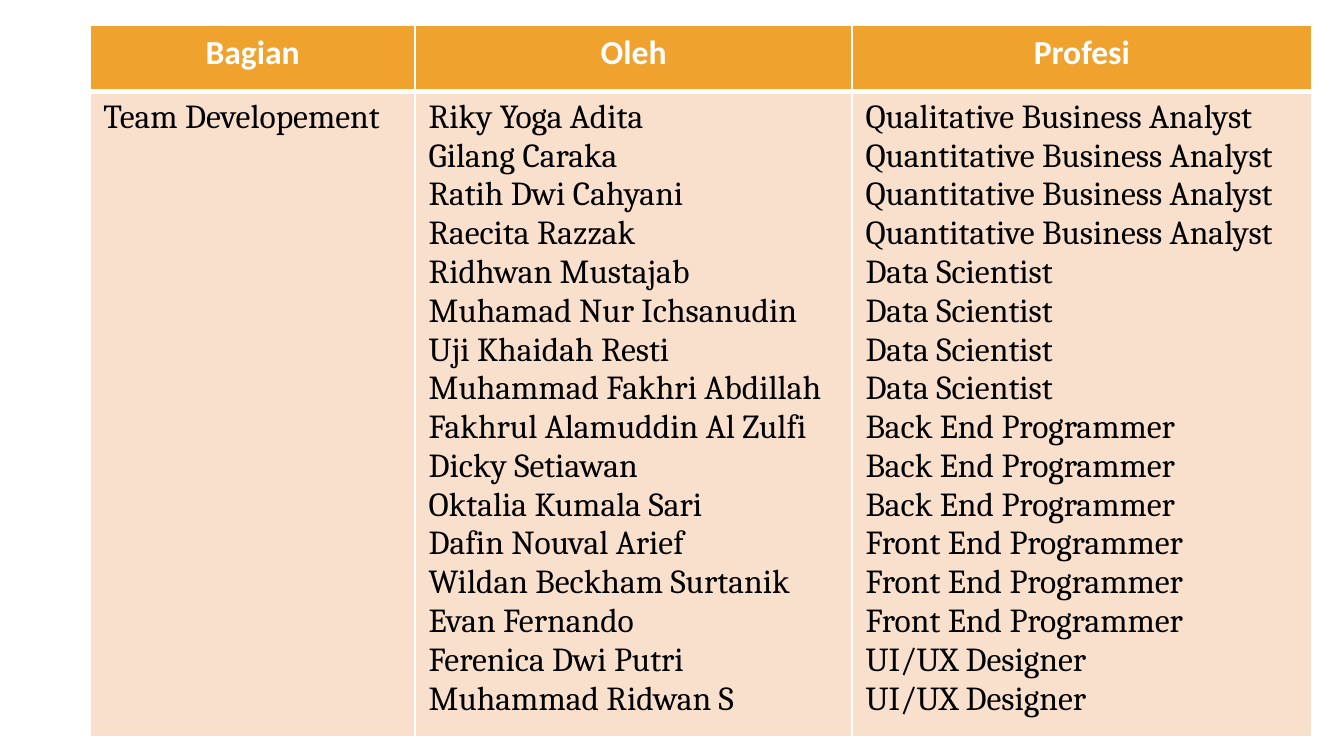
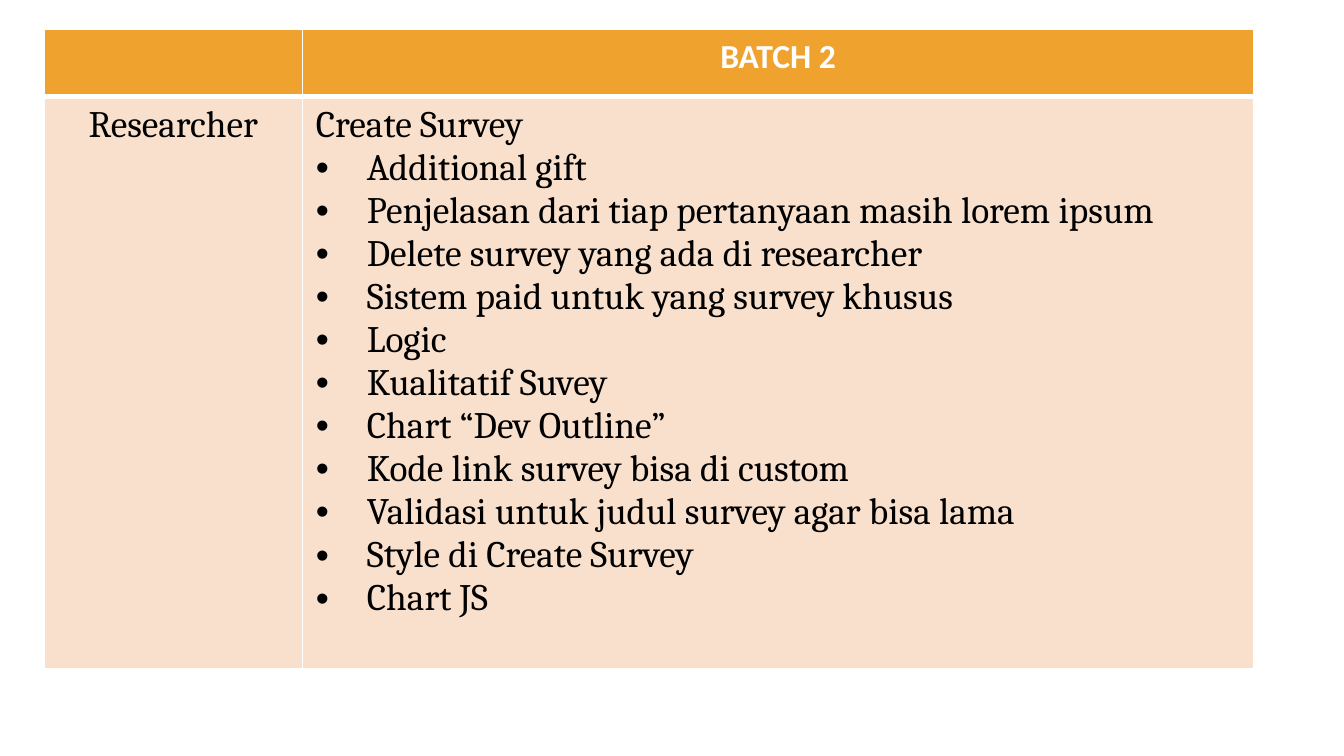
import pptx
import pptx.util
import pptx.dml.color
import pptx.enum.text
import pptx.oxml
import pptx.oxml.ns
from lxml import etree

Inches = pptx.util.Inches
CENTER = pptx.enum.text.PP_ALIGN.CENTER
LEFT = pptx.enum.text.PP_ALIGN.LEFT

ORANGE = pptx.dml.color.RGBColor(0xF0, 0xA2, 0x2E)
PEACH = pptx.dml.color.RGBColor(0xF9, 0xE0, 0xCD)
WHITE = pptx.dml.color.RGBColor(0xFF, 0xFF, 0xFF)
BLACK = pptx.dml.color.RGBColor(0x00, 0x00, 0x00)

SLIDE_WIDTH = Inches(10)
SLIDE_HEIGHT = SLIDE_WIDTH * 9 // 16
HEADER_SIZE = 18
BULLET_INDENT = 0.38
THIN, THICK = 1, 3

TEAM = [
    ("Qualitative Business Analyst", ["Riky Yoga Adita"]),
    ("Quantitative Business Analyst", ["Gilang Caraka", "Ratih Dwi Cahyani", "Raecita Razzak"]),
    ("Data Scientist", ["Ridhwan Mustajab", "Muhamad Nur Ichsanudin", "Uji Khaidah Resti",
                        "Muhammad Fakhri Abdillah"]),
    ("Back End Programmer", ["Fakhrul Alamuddin Al Zulfi", "Dicky Setiawan", "Oktalia Kumala Sari"]),
    ("Front End Programmer", ["Dafin Nouval Arief", "Wildan Beckham Surtanik", "Evan Fernando"]),
    ("UI/UX Designer", ["Ferenica Dwi Putri", "Muhammad Ridwan S"]),
]
SURVEY_TASKS = [
    "Additional gift",
    "Penjelasan dari tiap pertanyaan masih lorem ipsum",
    "Delete survey yang ada di researcher",
    "Sistem paid untuk yang survey khusus",
    "Logic",
    "Kualitatif Suvey",
    "Chart “Dev Outline”",
    "Kode link survey bisa di custom",
    "Validasi untuk judul survey agar bisa lama",
    "Style di Create Survey",
    "Chart JS",
]
MEMBERS = [(name, profession) for profession, names in TEAM for name in names]

SLIDES = [
    {
        "corner": (0.67, 0.19),
        "columns": (2.42, 3.25, 3.42),
        "rows": (0.49, 4.8),
        "size": 18,
        "headers": ["Bagian", "Oleh", "Profesi"],
        "bodies": [
            {"lines": ["Team Developement"]},
            {"lines": [name for name, _ in MEMBERS]},
            {"lines": [profession for _, profession in MEMBERS]},
        ],
    },
    {
        "corner": (0.33, 0.22),
        "columns": (1.92, 7.08),
        "rows": (0.5, 4.26),
        "size": 20,
        "headers": ["", "BATCH 2"],
        "bodies": [
            {"lines": ["Researcher"], "align": CENTER},
            {"lines": ["Create Survey"], "bullets": SURVEY_TASKS},
        ],
    },
]


def add_borders(cell, top, bottom):
    properties = cell._tc.get_or_add_tcPr()
    widths = {"lnL": THIN, "lnR": THIN, "lnT": top, "lnB": bottom}
    for position, (side, width) in enumerate(widths.items()):
        border = pptx.oxml.parse_xml(
            f'<a:{side} {pptx.oxml.ns.nsdecls("a")} w="{pptx.util.Pt(width)}">'
            f'<a:solidFill><a:srgbClr val="{WHITE}"/></a:solidFill></a:{side}>')
        properties.insert(position, border)


def add_bullet(paragraph):
    properties = paragraph._p.get_or_add_pPr()
    indent = Inches(BULLET_INDENT)
    properties.set("marL", str(indent))
    properties.set("indent", str(-indent))
    for tag, attribute, value in (("a:buFont", "typeface", "Arial"), ("a:buChar", "char", "•")):
        etree.SubElement(properties, pptx.oxml.ns.qn(tag)).set(attribute, value)


def write_lines(cell, lines, font, size, color, bold, align, bullets=()):
    frame = cell.text_frame
    for index, line in enumerate([*lines, *bullets]):
        paragraph = frame.add_paragraph() if index else frame.paragraphs[0]
        paragraph.alignment = align
        if index >= len(lines):
            add_bullet(paragraph)
        if line:
            run = paragraph.add_run()
            run.text = line
            run.font.name = font
            run.font.size = pptx.util.Pt(size)
            run.font.bold = bold
            run.font.color.rgb = color


def fill_cell(cell, color, top, bottom):
    cell.fill.solid()
    cell.fill.fore_color.rgb = color
    add_borders(cell, top, bottom)


def add_table_slide(deck, content):
    slide = deck.slides.add_slide(deck.slide_layouts[6])
    columns, rows = content["columns"], content["rows"]
    left, top = content["corner"]
    table = slide.shapes.add_table(
        len(rows), len(columns), Inches(left), Inches(top),
        Inches(sum(columns)), Inches(sum(rows))).table
    for row, height in zip(table.rows, rows):
        row.height = Inches(height)
    for index, width in enumerate(columns):
        table.columns[index].width = Inches(width)
        header, body = table.cell(0, index), table.cell(1, index)
        fill_cell(header, ORANGE, THIN, THICK)
        fill_cell(body, PEACH, THICK, THIN)
        write_lines(header, [content["headers"][index]], "Calibri", HEADER_SIZE, WHITE, True, CENTER)
        text = content["bodies"][index]
        write_lines(body, text["lines"], "Cambria", content["size"], BLACK, False,
                    text.get("align", LEFT), text.get("bullets", ()))


def main():
    deck = pptx.Presentation()
    deck.slide_width, deck.slide_height = SLIDE_WIDTH, SLIDE_HEIGHT
    for content in SLIDES:
        add_table_slide(deck, content)
    deck.save("out.pptx")


if __name__ == "__main__":
    main()
